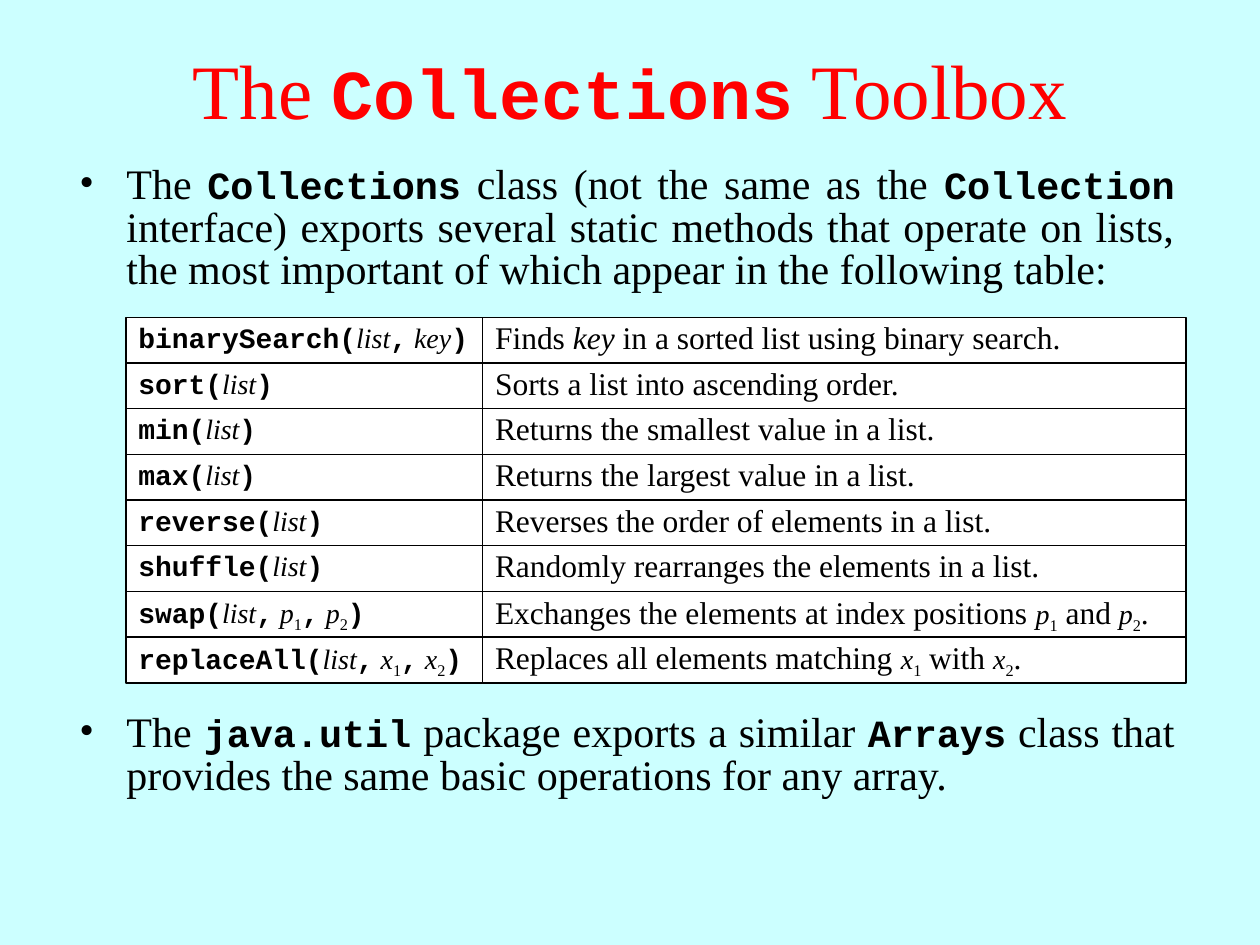
import pptx
import pptx.dml.color
import pptx.enum.shapes
import pptx.enum.text
import pptx.oxml.ns
import pptx.util
from lxml import etree

Cm = pptx.util.Cm
Pt = pptx.util.Pt
ALIGN = pptx.enum.text.PP_ALIGN
ANCHOR = pptx.enum.text.MSO_ANCHOR
RECTANGLE = pptx.enum.shapes.MSO_SHAPE.RECTANGLE
RED = pptx.dml.color.RGBColor(0xFF, 0x00, 0x00)
BLACK = pptx.dml.color.RGBColor(0x00, 0x00, 0x00)
WHITE = pptx.dml.color.RGBColor(0xFF, 0xFF, 0xFF)
PALE_CYAN = pptx.dml.color.RGBColor(0xCC, 0xFF, 0xFF)

SERIF, MONO = "Times New Roman", "Courier New"
STYLES = {
    "plain": {"name": SERIF},
    "code": {"name": MONO, "bold": True},
    "variable": {"name": SERIF, "italic": True},
    "index": {"name": SERIF, "baseline": -25000},
}

TITLE = [("The ", "plain", 44), ("Collections", "code", 40), (" Toolbox", "plain", 44)]
BULLETS = [
    (3.2, 3.56, [
        ("The ", "plain", 24), ("Collections", "code", 22),
        (" class (not the same as the ", "plain", 24), ("Collection", "code", 22),
        (" interface) exports several static methods that operate on lists, "
         "the most important of which appear in the following table:", "plain", 24),
    ]),
    (14.25, 2.51, [
        ("The ", "plain", 24), ("java.util", "code", 22),
        (" package exports a similar ", "plain", 24), ("Arrays", "code", 22),
        (" class that provides the same basic operations for any array.", "plain", 24),
    ]),
]
METHODS = [
    ("binarySearch", ["list", "key"],
     ["Finds ", ("key", "variable", 18), " in a sorted list using binary search."]),
    ("sort", ["list"], ["Sorts a list into ascending order."]),
    ("min", ["list"], ["Returns the smallest value in a list."]),
    ("max", ["list"], ["Returns the largest value in a list."]),
    ("reverse", ["list"], ["Reverses the order of elements in a list."]),
    ("shuffle", ["list"], ["Randomly rearranges the elements in a list."]),
    ("swap", ["list", "p1", "p2"],
     ["Exchanges the elements at index positions ", ("p", "variable", 16), ("1", "index", 16),
      " and ", ("p", "variable", 16), ("2", "index", 16), "."]),
    ("replaceAll", ["list", "x1", "x2"],
     ["Replaces all elements matching ", ("x", "variable", 16), ("1", "index", 16),
      " with ", ("x", "variable", 16), ("2", "index", 16), "."]),
]
GRID_TOP, ROW_PITCH, CELL_HEIGHT = 6.4, 0.92, 0.93
SIGNATURE_LEFT, SIGNATURE_WIDTH = 2.54, 7.19
DESCRIPTION_LEFT, DESCRIPTION_WIDTH = SIGNATURE_LEFT + SIGNATURE_WIDTH, 14.18


def write(para, spans, color=BLACK):
    for text, style, size in spans:
        look = STYLES[style]
        span = para.add_run()
        span.text = text
        span.font.name = look["name"]
        span.font.size = Pt(size)
        span.font.bold = look.get("bold", False)
        span.font.italic = look.get("italic", False)
        span.font.color.rgb = color
        if "baseline" in look:
            span._r.get_or_add_rPr().set("baseline", str(look["baseline"]))


def signature(name, arguments):
    spans = [(name + "(", "code", 16)]
    for number, argument in enumerate(arguments):
        if number:
            spans.append((",", "code", 16))
        letters = argument.rstrip("12")
        spans.append((" " * bool(number) + letters, "variable", 16))
        if letters != argument:
            spans.append((argument[len(letters):], "index", 16))
    return spans + [(")", "code", 16)]


def add_bullet(page, top, height, spans):
    box = page.shapes.add_textbox(Cm(1.35), Cm(top), Cm(22.58), Cm(height))
    box.text_frame.word_wrap = True
    para = box.text_frame.paragraphs[0]
    para.alignment = ALIGN.JUSTIFY
    para.line_spacing = 0.85
    para.space_after = Pt(15)
    properties = para._p.get_or_add_pPr()
    properties.set("marL", str(Cm(0.95)))
    properties.set("indent", str(-Cm(0.95)))
    color = etree.SubElement(properties, pptx.oxml.ns.qn("a:buClr"))
    etree.SubElement(color, pptx.oxml.ns.qn("a:srgbClr"), val=str(BLACK))
    etree.SubElement(properties, pptx.oxml.ns.qn("a:buFont"), typeface=SERIF)
    etree.SubElement(properties, pptx.oxml.ns.qn("a:buChar"), char="•")
    write(para, spans)


def add_cell(page, left, top, width, spans):
    cell = page.shapes.add_shape(RECTANGLE, Cm(left), Cm(top), Cm(width), Cm(CELL_HEIGHT))
    cell.shadow.inherit = False
    cell.fill.solid()
    cell.fill.fore_color.rgb = WHITE
    cell.line.color.rgb = BLACK
    cell.line.width = Pt(0.75)
    cell.text_frame.word_wrap = False
    cell.text_frame.vertical_anchor = ANCHOR.MIDDLE
    para = cell.text_frame.paragraphs[0]
    para.alignment = ALIGN.LEFT
    para.line_spacing = 0.8
    write(para, spans)


def add_method_grid(page):
    for number, (name, arguments, description) in enumerate(METHODS):
        top = GRID_TOP + number * ROW_PITCH
        add_cell(page, SIGNATURE_LEFT, top, SIGNATURE_WIDTH, signature(name, arguments))
        add_cell(page, DESCRIPTION_LEFT, top, DESCRIPTION_WIDTH, [
            (part, "plain", 18) if isinstance(part, str) else part for part in description])


def main():
    deck = pptx.Presentation()
    deck.slide_width, deck.slide_height = Cm(25.4), Cm(19.05)
    page = deck.slides.add_slide(deck.slide_layouts[5])
    page.background.fill.solid()
    page.background.fill.fore_color.rgb = PALE_CYAN

    title = page.shapes.title
    title.left, title.top, title.width, title.height = Cm(0), Cm(0.2), Cm(25.4), Cm(3.18)
    title.text_frame.vertical_anchor = ANCHOR.MIDDLE
    heading = title.text_frame.paragraphs[0]
    heading.alignment = ALIGN.CENTER
    write(heading, TITLE, RED)

    for top, height, spans in BULLETS:
        add_bullet(page, top, height, spans)
    add_method_grid(page)
    deck.save("out.pptx")


if __name__ == "__main__":
    main()
